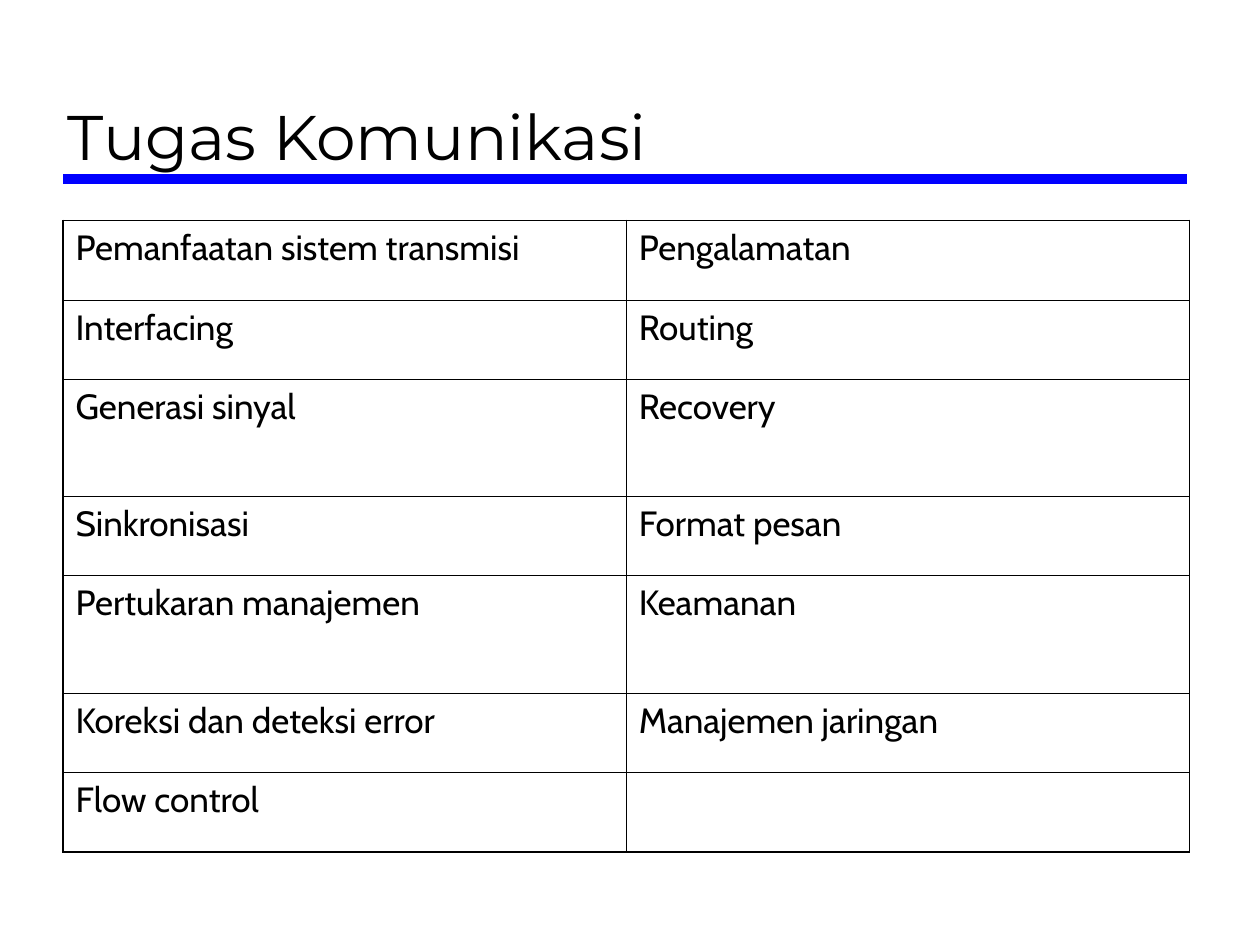
from lxml.etree import SubElement
from pptx import Presentation
from pptx.dml.color import RGBColor
from pptx.enum.shapes import MSO_CONNECTOR
from pptx.enum.text import MSO_ANCHOR
from pptx.oxml.ns import qn
from pptx.util import Inches, Pt

TITLE = "Tugas Komunikasi"
TASKS = [
    ("Pemanfaatan sistem transmisi", "Pengalamatan"),
    ("Interfacing", "Routing"),
    ("Generasi sinyal", "Recovery"),
    ("Sinkronisasi", "Format pesan"),
    ("Pertukaran manajemen", "Keamanan"),
    ("Koreksi dan deteksi error", "Manajemen jaringan"),
    ("Flow control", ""),
]
COLORS = {"text": "000000", "rule": "0000FF", "border": "000000"}
FONTS = {"title": "Montserrat", "body": "Cabin"}
ROW_HEIGHT, TALL_HEIGHT = 0.63, 0.93
TALL_ROWS = {2, 4}
COLUMN_WIDTH = 4.47
OUTER, INNER = 1.08, 0.45  # border widths in points


def set_font(paragraph, name, size):
    paragraph.font.name = name
    paragraph.font.size = Pt(size)
    paragraph.font.color.rgb = RGBColor.from_string(COLORS["text"])


def set_borders(cell, widths):
    properties = cell._tc.get_or_add_tcPr()
    for side in "LRTB":
        line = SubElement(properties, qn(f"a:ln{side}"), w=str(Pt(widths[side])))
        fill = SubElement(line, qn("a:solidFill"))
        SubElement(fill, qn("a:srgbClr"), val=COLORS["border"])


deck = Presentation()
deck.slide_width, deck.slide_height = Inches(10), Inches(7.5)
page = deck.slides.add_slide(deck.slide_layouts[6])

# Blue rule under the title
rule = page.shapes.add_connector(
    MSO_CONNECTOR.STRAIGHT, Inches(0.5), Inches(1.42), Inches(9.42), Inches(1.42))
rule.line.color.rgb = RGBColor.from_string(COLORS["rule"])
rule.line.width = Pt(6)
SubElement(rule._element.spPr, qn("a:effectLst"))

# Title
box = page.shapes.add_textbox(Inches(0.44), Inches(0.17), Inches(8.97), Inches(1.25))
frame = box.text_frame
frame.word_wrap = True
frame.vertical_anchor = MSO_ANCHOR.BOTTOM
frame.text = TITLE
set_font(frame.paragraphs[0], FONTS["title"], 36)

# Task table
heights = [TALL_HEIGHT if row in TALL_ROWS else ROW_HEIGHT for row in range(len(TASKS))]
column_count = len(TASKS[0])
table = page.shapes.add_table(
    len(TASKS), column_count, Inches(0.5), Inches(1.75),
    Inches(COLUMN_WIDTH * column_count), Inches(sum(heights))).table
table.first_row = table.horz_banding = False
for column in table.columns:
    column.width = Inches(COLUMN_WIDTH)

for row, tasks in enumerate(TASKS):
    table.rows[row].height = Inches(heights[row])
    for column, task in enumerate(tasks):
        cell = table.cell(row, column)
        set_borders(cell, {
            "L": OUTER if column == 0 else INNER,
            "R": OUTER if column == column_count - 1 else INNER,
            "T": OUTER if row == 0 else INNER,
            "B": OUTER if row == len(TASKS) - 1 else INNER,
        })
        cell.fill.background()
        cell.text = task
        para = cell.text_frame.paragraphs[0]
        para.space_before = Pt(5)
        set_font(para, FONTS["body"], 20)

deck.save("out.pptx")
